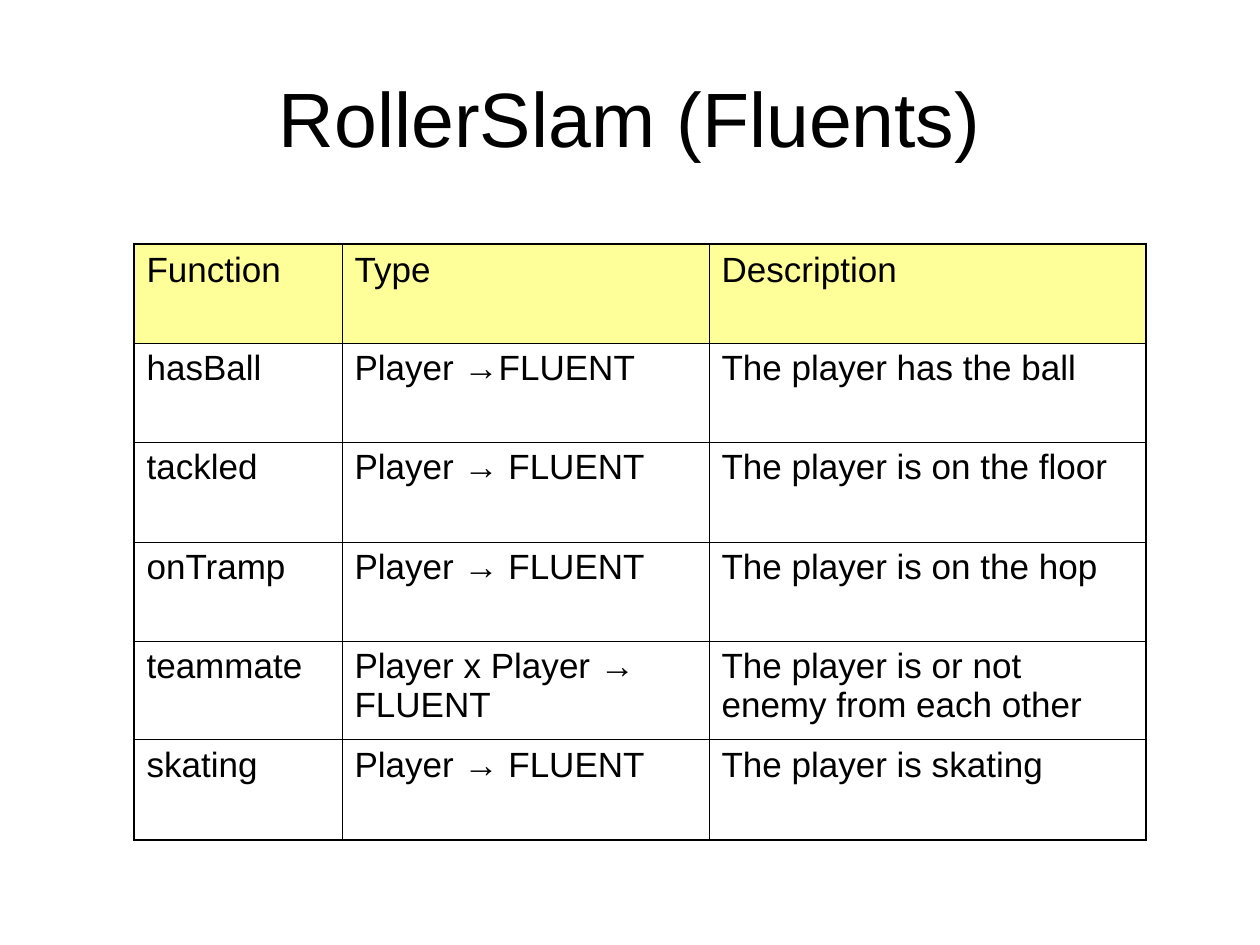
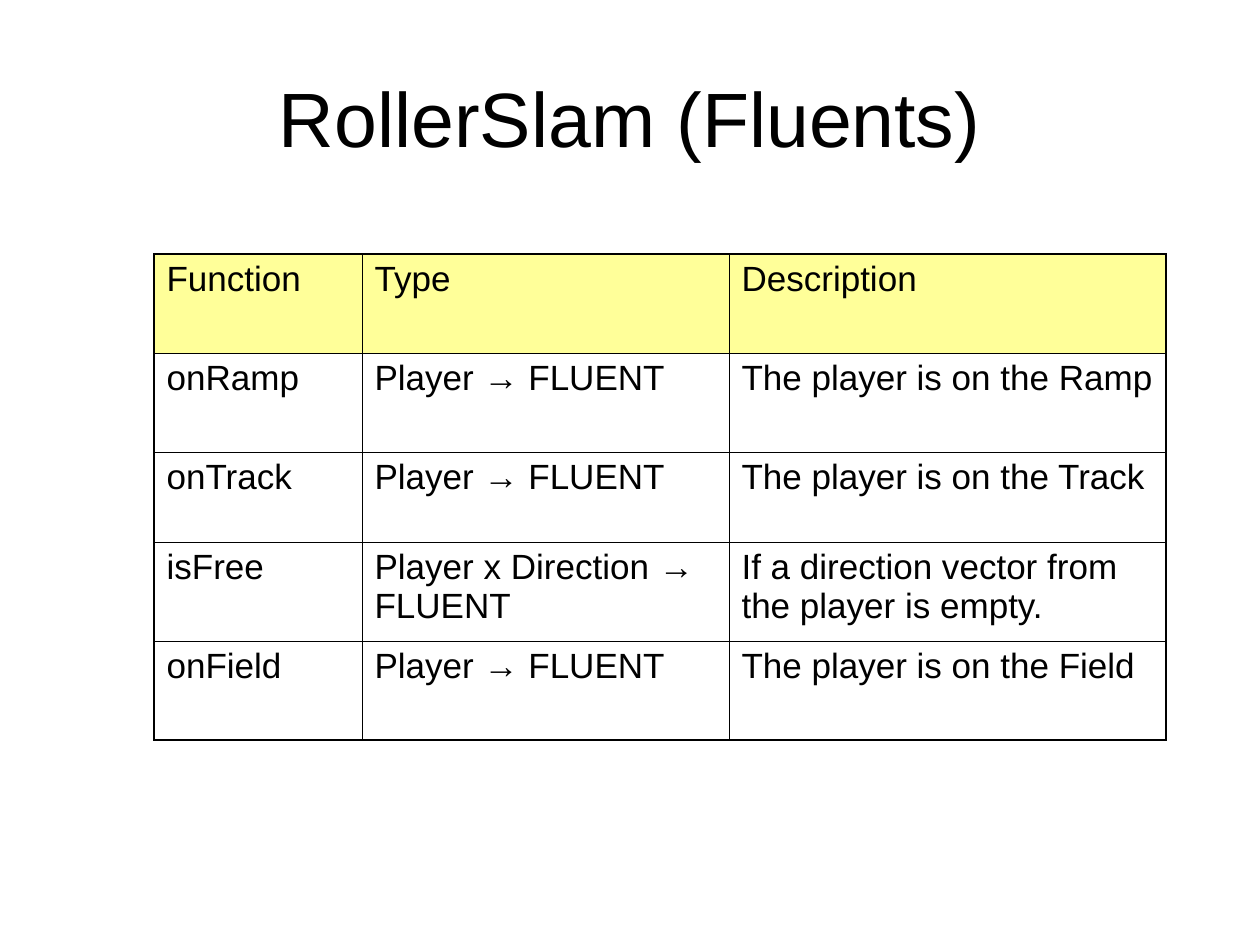
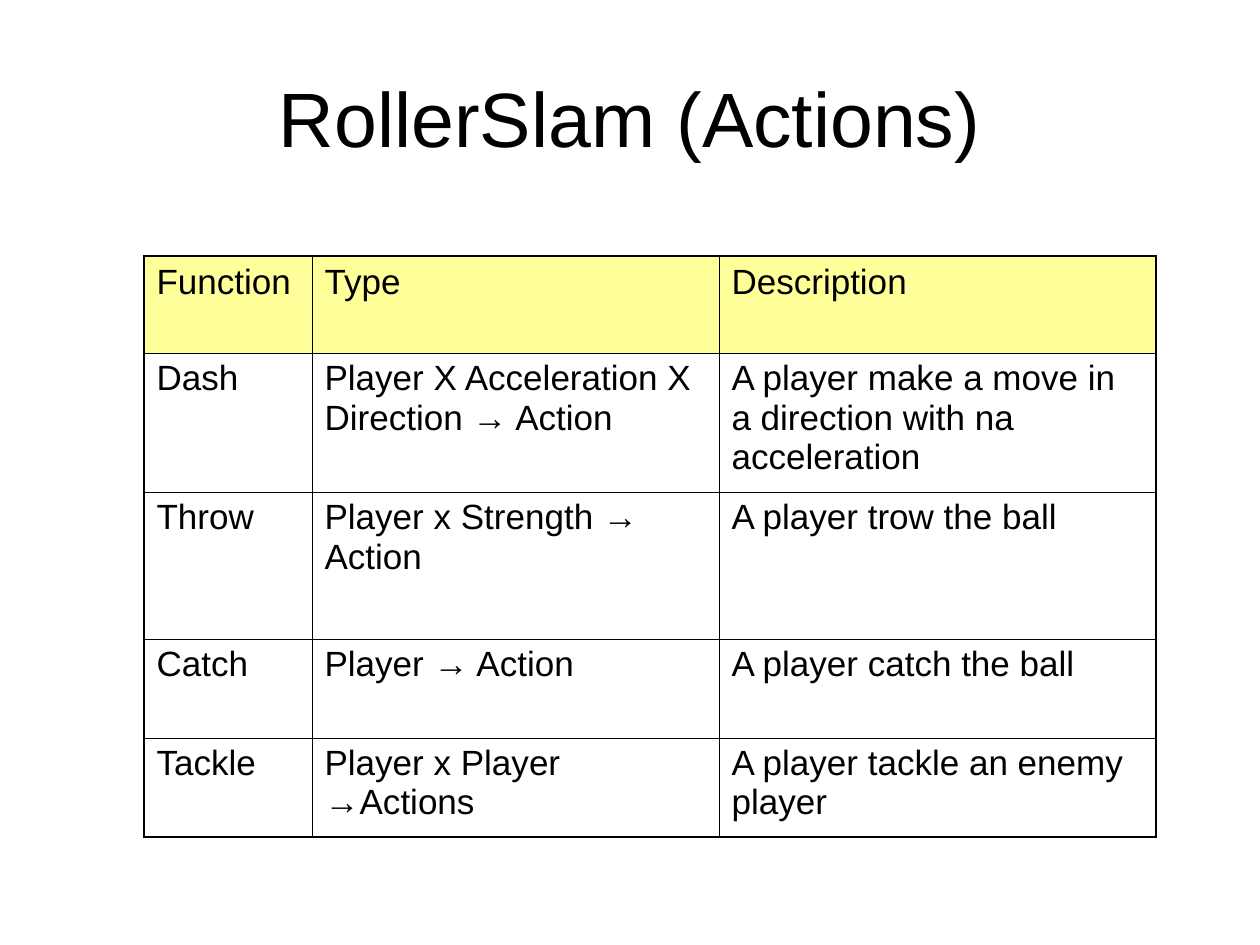
from lxml import etree
from pptx import Presentation
from pptx.dml.color import RGBColor
from pptx.enum.text import MSO_ANCHOR, PP_ALIGN
from pptx.oxml.ns import qn
from pptx.util import Pt

PX_PER_INCH = 126
COLOURS = {"ink": "000000", "header": "FFFF99"}
FONT = "Arial"
TITLE_BOX = (63, 38, 1134, 157)
HEADER = ("Function", "Type", "Description")
OUTER_LINE, INNER_LINE = Pt(1.08), Pt(0.45)

# Each slide: title, table corner, column widths, row heights, entries
SLIDES = [
    ("RollerSlam (Fluents)", (134, 244), (208, 367, 437), (99, 99, 100, 99, 99, 100), [
        ("hasBall", "Player →FLUENT", "The player has the ball"),
        ("tackled", "Player → FLUENT", "The player is on the floor"),
        ("onTramp", "Player → FLUENT", "The player is on the hop"),
        ("teammate", "Player x Player → FLUENT", "The player is or not enemy from each other"),
        ("skating", "Player → FLUENT", "The player is skating"),
    ]),
    ("RollerSlam (Fluents)", (154, 254), (208, 367, 437), (99, 99, 90, 99, 99), [
        ("onRamp", "Player → FLUENT", "The player is on the Ramp"),
        ("onTrack", "Player → FLUENT", "The player is on the Track"),
        ("isFree", "Player x Direction → FLUENT", "If a direction vector from the player is empty."),
        ("onField", "Player → FLUENT", "The player is on the Field"),
    ]),
    ("RollerSlam (Actions)", (144, 256), (168, 407, 437), (97, 139, 147, 99, 99), [
        ("Dash", "Player X Acceleration X Direction → Action",
         "A player make a move in a direction with na acceleration"),
        ("Throw", "Player x Strength → Action", "A player trow the ball"),
        ("Catch", "Player → Action", "A player catch the ball"),
        ("Tackle", "Player x Player →Actions", "A player tackle an enemy player"),
    ]),
]


def px(length):
    return round(length * 914400 / PX_PER_INCH)


def style_text(paragraph, size, align):
    paragraph.alignment = align
    font = paragraph.font
    font.name, font.size, font.bold = FONT, Pt(size), False
    font.color.rgb = RGBColor.from_string(COLOURS["ink"])


def add_title(slide, text, box):
    title = slide.shapes.title
    title.left, title.top, title.width, title.height = map(px, box)
    title.text_frame.text = text
    title.text_frame.vertical_anchor = MSO_ANCHOR.MIDDLE
    style_text(title.text_frame.paragraphs[0], 44, PP_ALIGN.CENTER)


def set_border(cell, side, width):
    line = etree.SubElement(cell._tc.get_or_add_tcPr(), qn(f"a:ln{side}"), w=str(width))
    fill = etree.SubElement(line, qn("a:solidFill"))
    etree.SubElement(fill, qn("a:srgbClr"), val=COLOURS["ink"])


def add_function_table(slide, corner, widths, heights, entries):
    rows = [HEADER, *entries]
    box = (*corner, sum(widths), sum(heights))
    table = slide.shapes.add_table(len(rows), len(HEADER), *map(px, box)).table
    table.first_row = table.horz_banding = False
    for column, width in zip(table.columns, widths):
        column.width = px(width)
    for row, height in zip(table.rows, heights):
        row.height = px(height)

    for r, row in enumerate(rows):
        for c, text in enumerate(row):
            cell = table.cell(r, c)
            cell.text = text
            style_text(cell.text_frame.paragraphs[0], 20, PP_ALIGN.LEFT)
            # Heavier lines around the table than within it
            on_edge = {"L": c == 0, "R": c == len(row) - 1,
                       "T": r == 0, "B": r == len(rows) - 1}
            for side, outer in on_edge.items():
                set_border(cell, side, OUTER_LINE if outer else INNER_LINE)
            if r == 0:
                cell.fill.solid()
                cell.fill.fore_color.rgb = RGBColor.from_string(COLOURS["header"])
            else:
                cell.fill.background()


def main():
    deck = Presentation()
    deck.slide_width, deck.slide_height = px(1260), px(945)
    title_only = deck.slide_layouts[5]
    for title, *table_parts in SLIDES:
        slide = deck.slides.add_slide(title_only)
        add_title(slide, title, TITLE_BOX)
        add_function_table(slide, *table_parts)
    deck.save("out.pptx")


if __name__ == "__main__":
    main()
